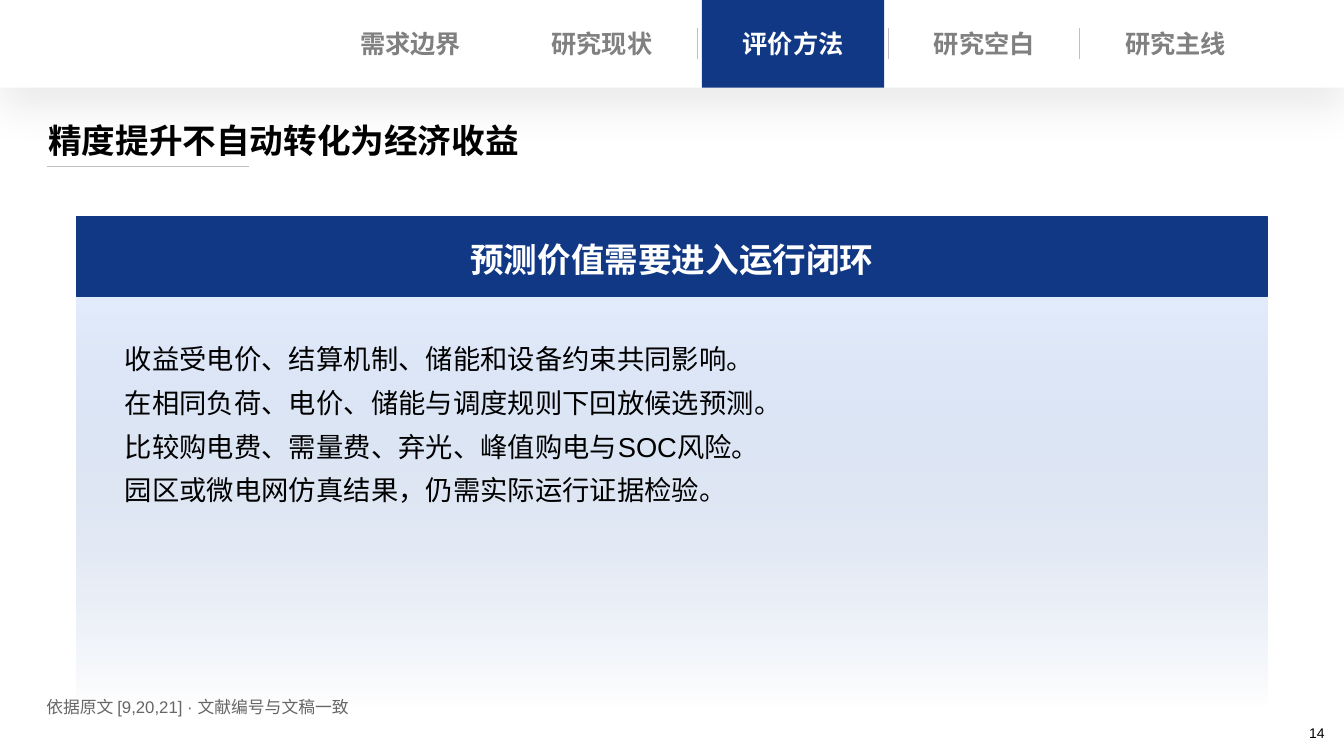
from lxml.etree import SubElement
from pptx import Presentation
from pptx.dml.color import RGBColor
from pptx.enum.shapes import MSO_CONNECTOR, MSO_SHAPE
from pptx.enum.text import MSO_ANCHOR, PP_ALIGN
from pptx.oxml.ns import qn
from pptx.util import Pt

WHITE = RGBColor(0xFF, 0xFF, 0xFF)
BLACK = RGBColor(0, 0, 0)
NAVY = RGBColor(0x11, 0x38, 0x84)
PALE_BLUE = RGBColor(0xBA, 0xD1, 0xF7)
DEEP_BLUE = RGBColor(0x12, 0x46, 0x9E)
GREY = RGBColor(0x80, 0x80, 0x80)
RULE_GREY = RGBColor(0xBF, 0xBF, 0xBF)
SOURCE_GREY = RGBColor(0x66, 0x66, 0x66)

SECTIONS = ["需求边界", "研究现状", "评价方法", "研究空白", "研究主线"]
ACTIVE = 2
FINDINGS = [
    "收益受电价、结算机制、储能和设备约束共同影响。",
    "在相同负荷、电价、储能与调度规则下回放候选预测。",
    "比较购电费、需量费、弃光、峰值购电与SOC风险。",
    "园区或微电网仿真结果，仍需实际运行证据检验。",
]


def write(shape, lines, size, color, bold=False, align=PP_ALIGN.LEFT,
          insets=(0, 0, 0, 0), spacing=None):
    frame = shape.text_frame
    left, top, right, bottom = map(Pt, insets)
    layout = {"word_wrap": True, "vertical_anchor": MSO_ANCHOR.TOP,
              "margin_left": left, "margin_top": top,
              "margin_right": right, "margin_bottom": bottom}
    for name, value in layout.items():
        setattr(frame, name, value)
    frame.text = "\n".join(lines)
    for paragraph in frame.paragraphs:
        paragraph.alignment = align
        if spacing:
            paragraph.line_spacing = Pt(spacing)
        for run in paragraph.runs:
            style = {"name": "Arial", "size": Pt(size), "bold": bold}
            for name, value in style.items():
                setattr(run.font, name, value)
            run.font.color.rgb = color


def add_text(slide, box, lines, size, color, **style):
    write(slide.shapes.add_textbox(*map(Pt, box)), lines, size, color, **style)


def add_block(slide, box, color=None):
    block = slide.shapes.add_shape(MSO_SHAPE.RECTANGLE, *map(Pt, box))
    block.shadow.inherit = False
    block.line.fill.background()
    if color is not None:
        block.fill.solid()
        block.fill.fore_color.rgb = color
    return block


def add_rule(slide, x1, y1, x2, y2):
    rule = slide.shapes.add_connector(MSO_CONNECTOR.STRAIGHT, *map(Pt, (x1, y1, x2, y2)))
    rule.line.color.rgb = RULE_GREY
    rule.line.width = Pt(0.75)
    SubElement(rule._element.spPr, qn("a:effectLst"))


def set_alpha(color_element, percent):
    SubElement(color_element, qn("a:alpha"), val=str(percent * 1000))


def cast_shadow(block):
    effects = block._element.spPr.find(qn("a:effectLst"))
    shadow = SubElement(effects, qn("a:outerShdw"), blurRad=str(Pt(28)),
                        dist=str(Pt(15)), dir="5400000", algn="t", rotWithShape="0")
    set_alpha(SubElement(shadow, qn("a:srgbClr"), val=str(BLACK)), 8)


def navigation(slide, box, first_tab, tab_width):
    left, top, width, height = box
    cast_shadow(add_block(slide, box, WHITE))
    for index, section in enumerate(SECTIONS):
        x = left + first_tab + index * tab_width
        active = index == ACTIVE
        if active:
            add_block(slide, (x + 3.25, top, tab_width - 6.5, height), NAVY)
        if index >= ACTIVE:
            add_rule(slide, x, top + 20, x, top + 42.5)
        add_text(slide, (x, top + 16.6, tab_width, 28.8), [section], 18,
                 WHITE if active else GREY, bold=True,
                 align=PP_ALIGN.CENTER, insets=(0, 3.6, 0, 0))


def heading(slide, box):
    left, top, width, height = box
    add_text(slide, box, ["精度提升不自动转化为经济收益"], 24, BLACK,
             bold=True, insets=(7.2, 3.6, 0, 0))
    rule_y = top + height - 3.4
    add_rule(slide, left + 6.5, rule_y, left + 150.5, rule_y)


def panel_body(slide, box):
    left, top, width, height = box
    fill = add_block(slide, box).fill
    fill.gradient()
    fill.gradient_angle = 270
    stops = [(0, PALE_BLUE, 42), (1, DEEP_BLUE, 0)]
    for stop, (position, color, alpha) in zip(fill.gradient_stops, stops):
        stop.position = position
        stop.color.rgb = color
        set_alpha(stop._gs[0], alpha)
    add_text(slide, (left + 27.4, top + 21.6, width - 54.8, 167), FINDINGS,
             19.5, BLACK, insets=(7.2, 4.3, 0, 0), spacing=31.2)


def panel_header(slide, box):
    header = add_block(slide, box, NAVY)
    header.line.color.rgb = NAVY
    header.line.width = Pt(1)
    write(header, ["预测价值需要进入运行闭环"], 24, WHITE, bold=True,
          align=PP_ALIGN.CENTER, insets=(0, 15.8, 0, 0))


def footer(slide, box):
    left, top, width, height = box
    add_text(slide, (left, top, 253.4, 18.7),
             ["依据原文 [9,20,21] · 文献编号与文稿一致"], 12, SOURCE_GREY)
    add_text(slide, (left + width - 216, top + 11.5, 216, 28.8), ["14"], 10,
             BLACK, align=PP_ALIGN.RIGHT, insets=(0, 8.6, 7.2, 0))


def main():
    deck = Presentation()
    deck.slide_width, deck.slide_height = Pt(960), Pt(540)
    slide = deck.slides.add_slide(deck.slide_layouts[6])
    slide.background.fill.solid()
    slide.background.fill.fore_color.rgb = WHITE
    panel_body(slide, (54.7, 211, 850.4, 297.4))
    navigation(slide, (0, 0, 960, 62.6), 225, 136.6)
    heading(slide, (27.4, 82.1, 877.7, 40.3))
    panel_header(slide, (54.7, 154.8, 850.4, 56.9))
    footer(slide, (33.1, 497.5, 920.2, 40.3))
    deck.save("out.pptx")


if __name__ == "__main__":
    main()
